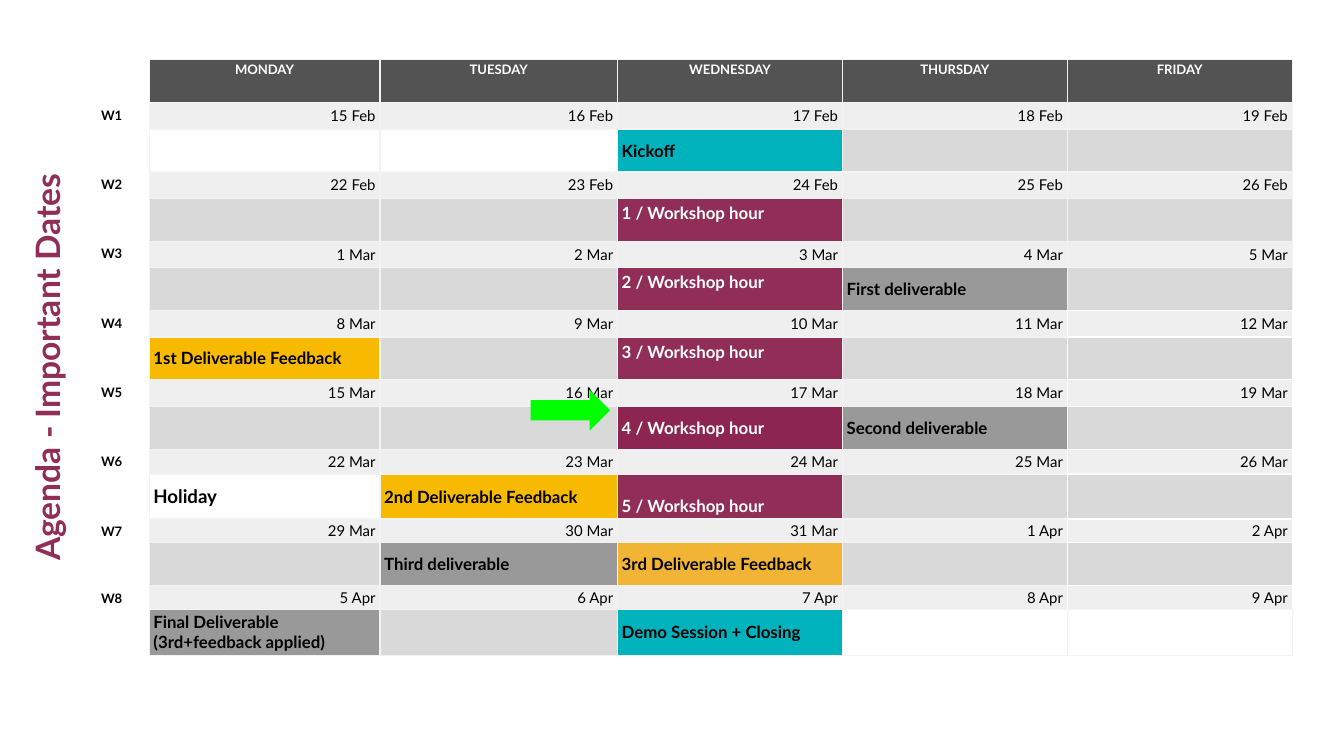
"""Build the agenda slide: an eight-week calendar of important dates."""
from dataclasses import dataclass

import lxml.etree
import pptx
import pptx.dml.color
import pptx.enum.shapes
import pptx.enum.text
import pptx.oxml.ns
import pptx.util

Cm = pptx.util.Cm
Pt = pptx.util.Pt
ALIGN = pptx.enum.text.PP_ALIGN
ANCHOR = pptx.enum.text.MSO_ANCHOR
qn = pptx.oxml.ns.qn

FONT = "Lato"
BLACK, WHITE, BORDER = "000000", "FFFFFF", "F3F3F3"
HEADER, DATE, FREE, DUE = "535353", "EFEFEF", "D9D9D9", "999999"
TEAL, PLUM, DARK_PLUM, YELLOW, ORANGE = "00B2BC", "902E57", "8C254F", "F8BA00", "F1B434"

DAYS = ["MONDAY", "TUESDAY", "WEDNESDAY", "THURSDAY", "FRIDAY"]
MONTHS = [("Feb", 28), ("Mar", 31), ("Apr", 30)]
WEEKS = 8
COL_WIDTHS = [0.99, 4.36, 4.49, 4.25, 4.25, 4.25]
HEADER_HEIGHT = 0.82
WEEK_HEIGHTS = [(0.5, 0.81)] * 5 + [(0.47, 0.85), (0.45, 0.81), (0.45, 0.86)]
MARGIN_X, MARGIN_Y = 0.08, 0.05


@dataclass
class Event:
    """What happens on one day, with its cell colours and extra margins."""
    week: int
    day: int
    text: str
    fill: str
    color: str = BLACK
    size: float = 9
    above: float = 0
    below: float = 0


EVENTS = [
    Event(1, 1, "", WHITE),
    Event(1, 2, "", WHITE),
    Event(1, 3, "Kickoff ", TEAL),
    *[Event(n + 1, 3, f"{n} / Workshop hour", PLUM, WHITE, below=0.26) for n in (1, 2, 3)],
    Event(3, 4, "First deliverable", DUE),
    Event(4, 1, "1st Deliverable Feedback", YELLOW),
    Event(5, 3, "4 / Workshop hour", DARK_PLUM, WHITE),
    Event(5, 4, "Second deliverable", DUE),
    Event(6, 1, "Holiday", WHITE, size=10),
    Event(6, 2, "2nd Deliverable Feedback", YELLOW),
    Event(6, 3, "5 / Workshop hour", PLUM, WHITE, above=0.36),
    Event(7, 2, "Third deliverable", DUE),
    Event(7, 3, "3rd Deliverable Feedback", ORANGE),
    Event(8, 1, "Final Deliverable (3rd+feedback applied)", DUE),
    Event(8, 3, "Demo Session + Closing", TEAL),
    Event(8, 4, "", WHITE),
    Event(8, 5, "", WHITE),
]


def rgb(color: str) -> pptx.dml.color.RGBColor:
    """Turn a hex string into a colour."""
    return pptx.dml.color.RGBColor.from_string(color)


def date_label(offset: int) -> str:
    """Name the date that lies offset days after 15 February."""
    day = 15 + offset
    for month, length in MONTHS:
        if day <= length:
            return f"{day} {month}"
        day -= length
    return ""


def write(tf, text: str, size: float, color: str, bold: bool = True, align=ALIGN.LEFT) -> None:
    """Set and format a single paragraph."""
    tf.text = text
    p = tf.paragraphs[0]
    p.alignment = align
    if not p.runs:
        lxml.etree.SubElement(p._p, qn("a:endParaRPr"), sz=str(round(size * 100)))
    for r in p.runs:
        r.font.name, r.font.size, r.font.bold = FONT, Pt(size), bold
        r.font.color.rgb = rgb(color)


def style_cell(cell, fill: str = "", anchor=ANCHOR.MIDDLE, above: float = 0, below: float = 0) -> None:
    """Set the fill, anchor and margins of a cell."""
    cell.margin_left = cell.margin_right = Cm(MARGIN_X)
    cell.margin_top, cell.margin_bottom = Cm(MARGIN_Y + above), Cm(MARGIN_Y + below)
    cell.vertical_anchor = anchor
    if fill:
        cell.fill.solid()
        cell.fill.fore_color.rgb = rgb(fill)
    else:
        cell.fill.background()


def add_borders(cell, row: int, col: int) -> None:
    """Draw the cell borders, white around the later Fridays."""
    tc_pr = cell._tc.get_or_add_tcPr()
    for i, side in enumerate("LRTB"):
        ln = lxml.etree.Element(qn(f"a:ln{side}"), w=str(Pt(0.75)))
        if col == 0 and side != "R":
            lxml.etree.SubElement(ln, qn("a:noFill"))
        else:
            late = 7 <= row <= 15
            white = late and (col == 5 or (col == 4 and side == "R"))
            solid = lxml.etree.SubElement(ln, qn("a:solidFill"))
            lxml.etree.SubElement(solid, qn("a:srgbClr"), val=WHITE if white else BORDER)
        tc_pr.insert(i, ln)


def add_calendar(s) -> None:
    """Add the table of weeks and days."""
    heights = [HEADER_HEIGHT] + [h for pair in WEEK_HEIGHTS for h in pair]
    table = s.shapes.add_table(len(heights), len(COL_WIDTHS), Cm(1.83), Cm(1.12),
                               Cm(sum(COL_WIDTHS)), Cm(sum(heights))).table
    table.first_row = table.horz_banding = False
    for column, width in zip(table.columns, COL_WIDTHS):
        column.width = Cm(width)
    for row, height in zip(table.rows, heights):
        row.height = Cm(height)
    events = {(e.week, e.day): e for e in EVENTS}

    for row in range(len(heights)):
        style_cell(table.cell(row, 0), anchor=ANCHOR.TOP)
        write(table.cell(row, 0).text_frame, "", 7, BLACK)
    for day, name in enumerate(DAYS, 1):
        style_cell(table.cell(0, day), HEADER, ANCHOR.TOP)
        write(table.cell(0, day).text_frame, name, 7, WHITE, align=ALIGN.CENTER)
    for week in range(1, WEEKS + 1):
        top = 2 * week - 1
        label = table.cell(top, 0)
        label.merge(table.cell(top + 1, 0))
        write(label.text_frame, f"W{week}", 7, BLACK)
        label.text_frame.paragraphs[0].line_spacing = 1.15
        for day in range(1, len(DAYS) + 1):
            date, slot = table.cell(top, day), table.cell(top + 1, day)
            style_cell(date, DATE)
            write(date.text_frame, date_label(7 * (week - 1) + day - 1), 8, BLACK, False, ALIGN.RIGHT)
            e = events.get((week, day), Event(week, day, "", FREE))
            style_cell(slot, e.fill, above=e.above, below=e.below)
            write(slot.text_frame, e.text, e.size, e.color)
    for row in range(len(heights)):
        for col in range(len(COL_WIDTHS)):
            add_borders(table.cell(row, col), row, col)


def add_title(s) -> None:
    """Turn the title upright along the left edge."""
    sp = s.shapes.title
    sp.left, sp.top, sp.width, sp.height = Cm(-5.16), Cm(6.43), Cm(11.84), Cm(1.02)
    sp.rotation = 270
    tf = sp.text_frame
    tf.margin_left = tf.margin_right = tf.margin_top = tf.margin_bottom = Cm(0.25)
    tf.word_wrap = True
    tf.auto_size = pptx.enum.text.MSO_AUTO_SIZE.NONE
    tf.vertical_anchor = ANCHOR.TOP
    write(tf, "Agenda - Important Dates", 18, PLUM, align=ALIGN.CENTER)


def add_arrow(s) -> None:
    """Point at the current workshop."""
    sp = s.shapes.add_shape(pptx.enum.shapes.MSO_SHAPE.RIGHT_ARROW,
                            Cm(10.03), Cm(7.37), Cm(1.5), Cm(0.77))
    sp.shadow.inherit = False
    sp.fill.solid()
    sp.fill.fore_color.rgb = rgb("00FF00")
    sp.line.fill.background()


def main() -> None:
    """Build and save the slide."""
    prs = pptx.Presentation()
    prs.slide_width, prs.slide_height = Cm(25.4), Cm(14.29)
    s = prs.slides.add_slide(prs.slide_layouts[5])
    add_calendar(s)
    add_title(s)
    add_arrow(s)
    prs.save("out.pptx")


main()
